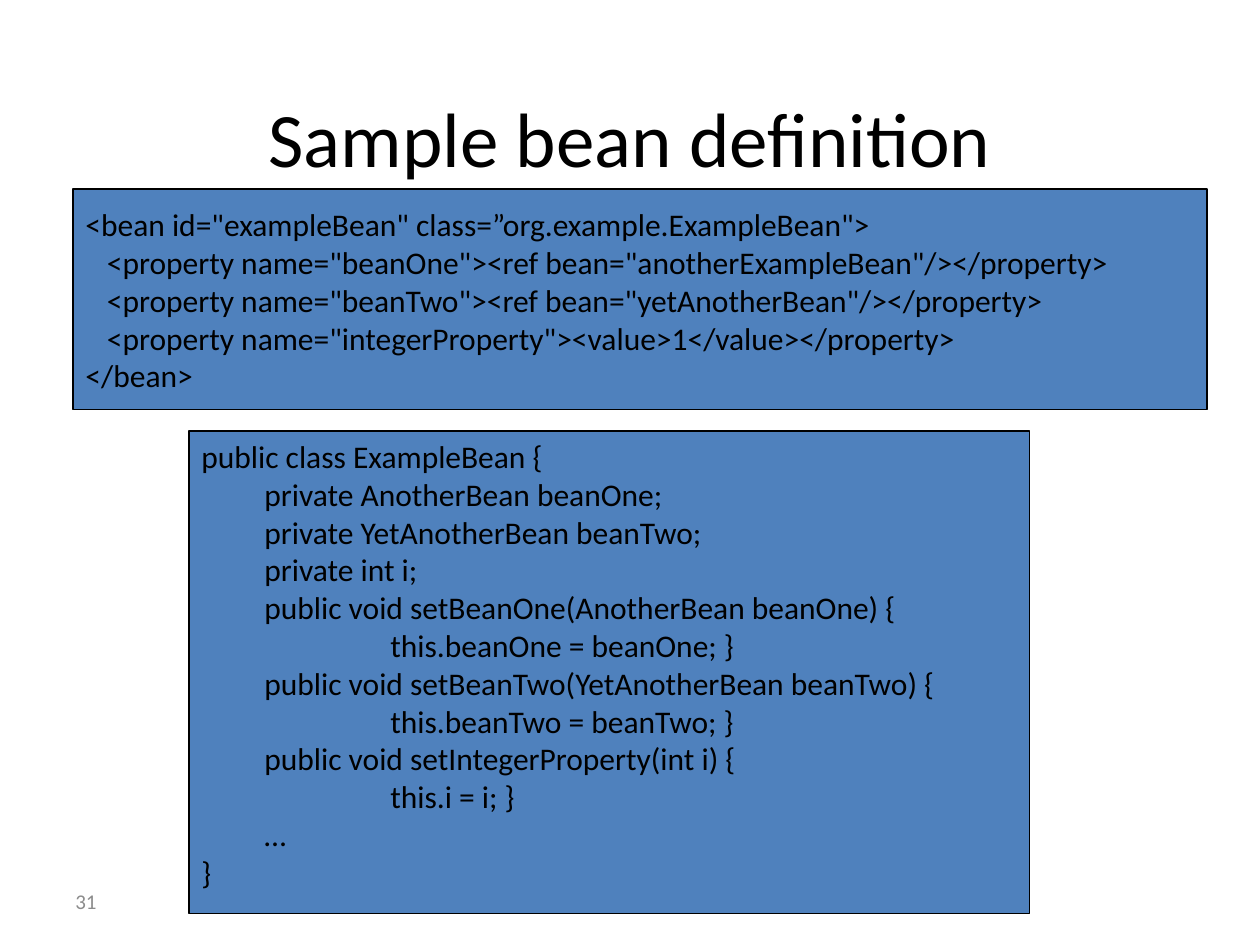
from dataclasses import dataclass

from pptx import Presentation
from pptx.dml.color import RGBColor
from pptx.enum.shapes import MSO_SHAPE as Shape
from pptx.enum.text import MSO_ANCHOR as Anchor, PP_ALIGN as Align
from pptx.util import Inches, Pt


@dataclass(frozen=True)
class Theme:
    """Colours, font and type sizes of the slide."""
    font: str = "Calibri"
    ink: RGBColor = RGBColor(0x00, 0x00, 0x00)
    muted: RGBColor = RGBColor(0x8C, 0x8C, 0x8C)
    panel: RGBColor = RGBColor(0x4F, 0x81, 0xBD)
    title_size: Pt = Pt(44)
    code_size: Pt = Pt(18)
    number_size: Pt = Pt(12)
    line_width: Pt = Pt(0.75)


THEME = Theme()

# Each code line is (indent in inches, text).
XML_INDENT = 0.17
XML_LINES = [
    (0, '<bean id="exampleBean" class=”org.example.ExampleBean">'),
    (XML_INDENT, '<property name="beanOne"><ref bean="anotherExampleBean"/></property>'),
    (XML_INDENT, '<property name="beanTwo"><ref bean="yetAnotherBean"/></property>'),
    (XML_INDENT, '<property name="integerProperty"><value>1</value></property>'),
    (0, "</bean>"),
]

MEMBER, BODY = 0.5, 1.5
JAVA_LINES = [
    (0, "public class ExampleBean {"),
    (MEMBER, "private AnotherBean beanOne;"),
    (MEMBER, "private YetAnotherBean beanTwo;"),
    (MEMBER, "private int i;"),
    (MEMBER, "public void setBeanOne(AnotherBean beanOne) {"),
    (BODY, "this.beanOne = beanOne; }"),
    (MEMBER, "public void setBeanTwo(YetAnotherBean beanTwo) {"),
    (BODY, "this.beanTwo = beanTwo; }"),
    (MEMBER, "public void setIntegerProperty(int i) {"),
    (BODY, "this.i = i; }"),
    (MEMBER, "…"),
    (0, "}"),
]


def apply_format(target, values):
    """Set every attribute named in a dict of format values."""
    for name, value in values.items():
        setattr(target, name, value)


def add_panel(slide, box):
    """Add a filled, outlined rectangle behind a code listing."""
    panel = slide.shapes.add_shape(Shape.RECTANGLE, *map(Inches, box))
    panel.shadow.inherit = False
    panel.fill.solid()
    panel.fill.fore_color.rgb = THEME.panel
    panel.line.color.rgb = THEME.ink
    panel.line.width = THEME.line_width


def add_text(slide, box, lines, size, color=THEME.ink, align=Align.LEFT,
             anchor=Anchor.TOP):
    """Add a text box with one paragraph for each (indent, text) line."""
    frame = slide.shapes.add_textbox(*map(Inches, box)).text_frame
    apply_format(frame, {"word_wrap": True, "vertical_anchor": anchor})
    for index, (indent, text) in enumerate(lines):
        paragraph = frame.add_paragraph() if index else frame.paragraphs[0]
        paragraph.alignment = align
        if indent:
            properties = paragraph._p.get_or_add_pPr()
            properties.set("marL", str(Inches(indent)))
            properties.set("indent", "0")
        run = paragraph.add_run()
        run.text = text
        apply_format(run.font, {"name": THEME.font, "size": size})
        run.font.color.rgb = color


def main():
    """Build the slide and save it."""
    presentation = Presentation()
    apply_format(presentation, {"slide_width": Inches(10),
                                "slide_height": Inches(7.5)})
    slide = presentation.slides.add_slide(presentation.slide_layouts[6])

    add_text(slide, (0.5, 6.95, 2.33, 0.4), [(0, "31")], THEME.number_size,
             THEME.muted, anchor=Anchor.MIDDLE)
    add_panel(slide, (1.5, 3.42, 6.67, 3.83))
    add_panel(slide, (0.58, 1.5, 9, 1.75))
    add_text(slide, (0.75, 0.67, 8.5, 1.25), [(0, "Sample bean definition")],
             THEME.title_size, align=Align.CENTER)
    add_text(slide, (0.58, 1.58, 9.02, 1.6), XML_LINES, THEME.code_size)
    add_text(slide, (1.5, 3.42, 6.66, 3.7), JAVA_LINES, THEME.code_size)

    presentation.save("out.pptx")


main()
